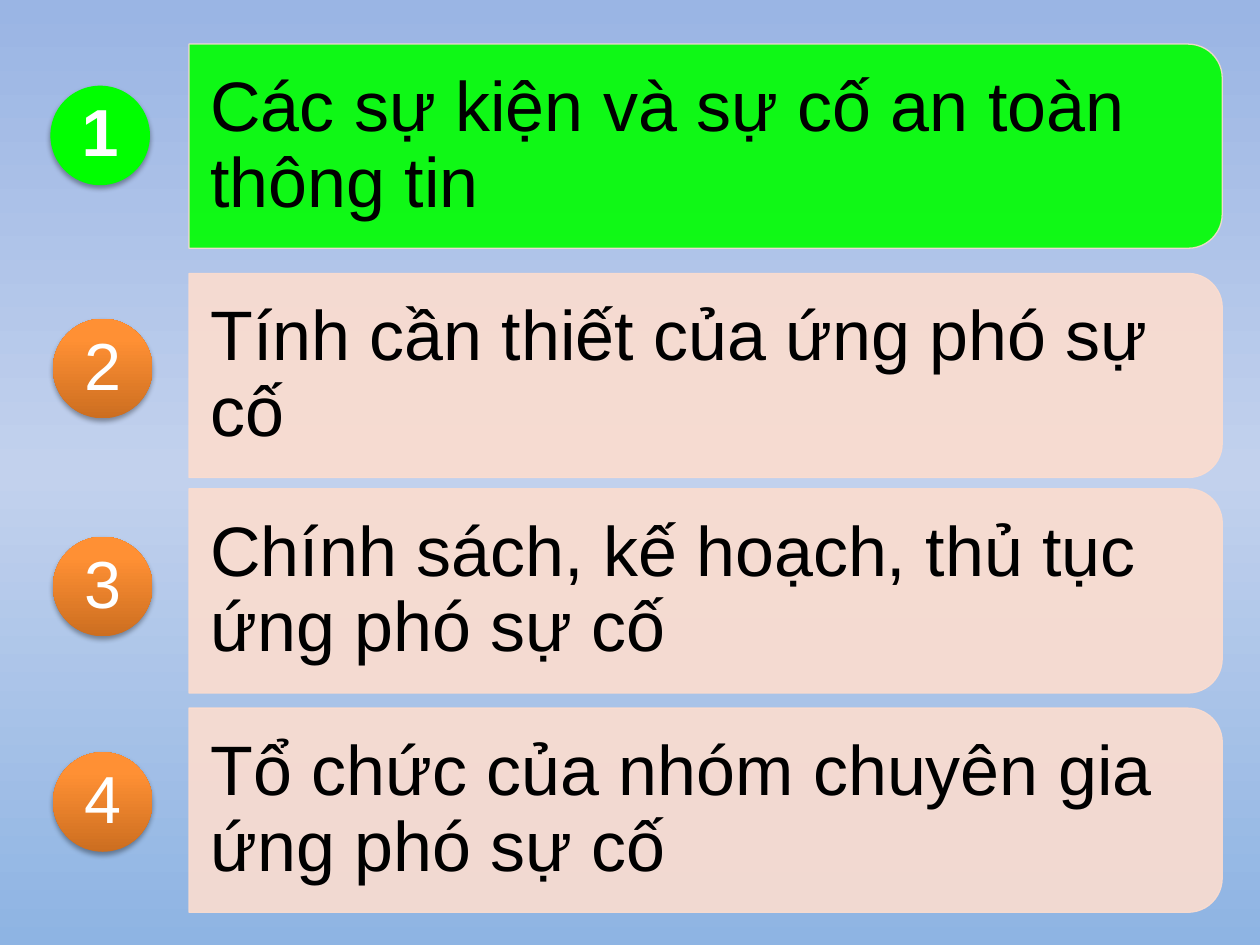
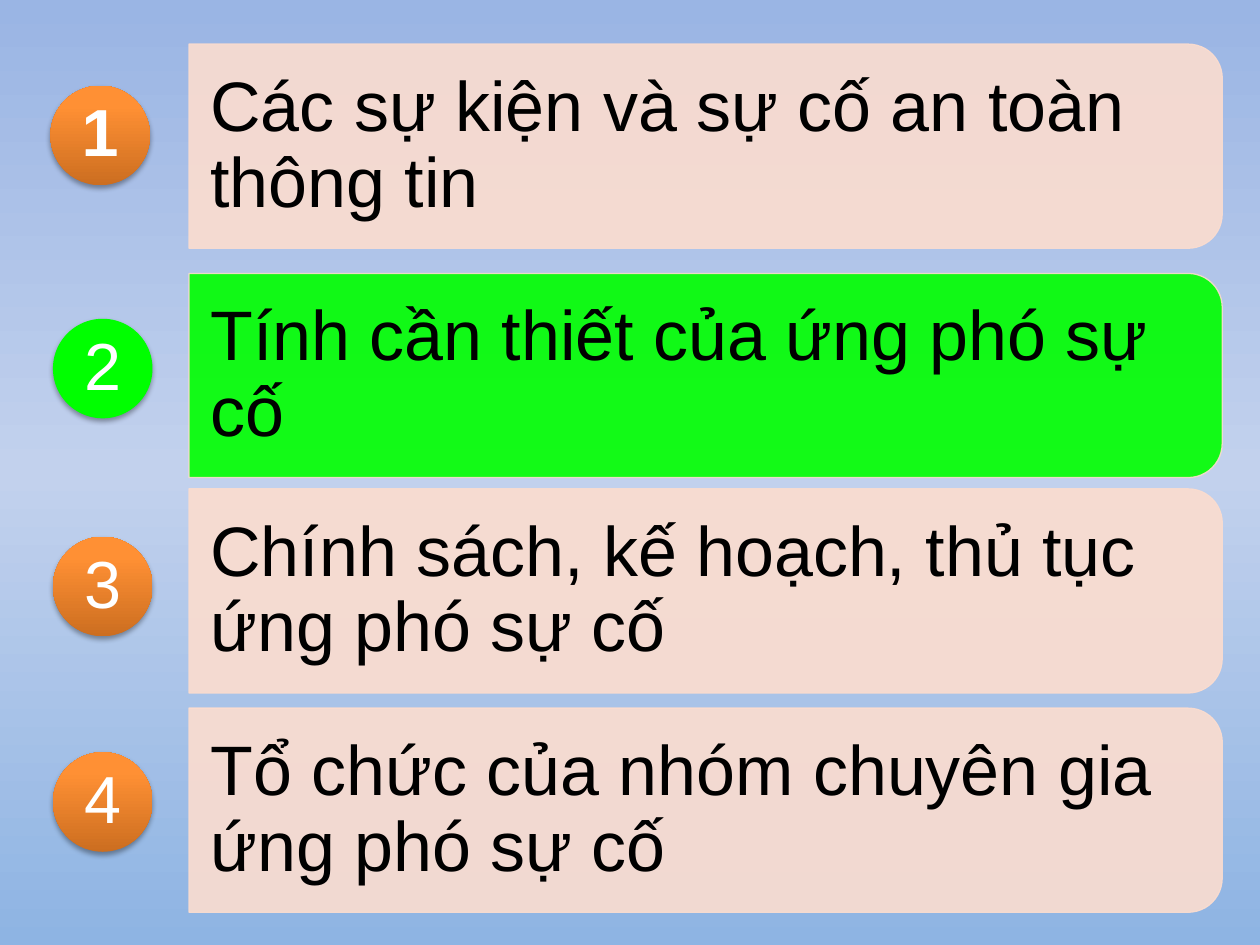
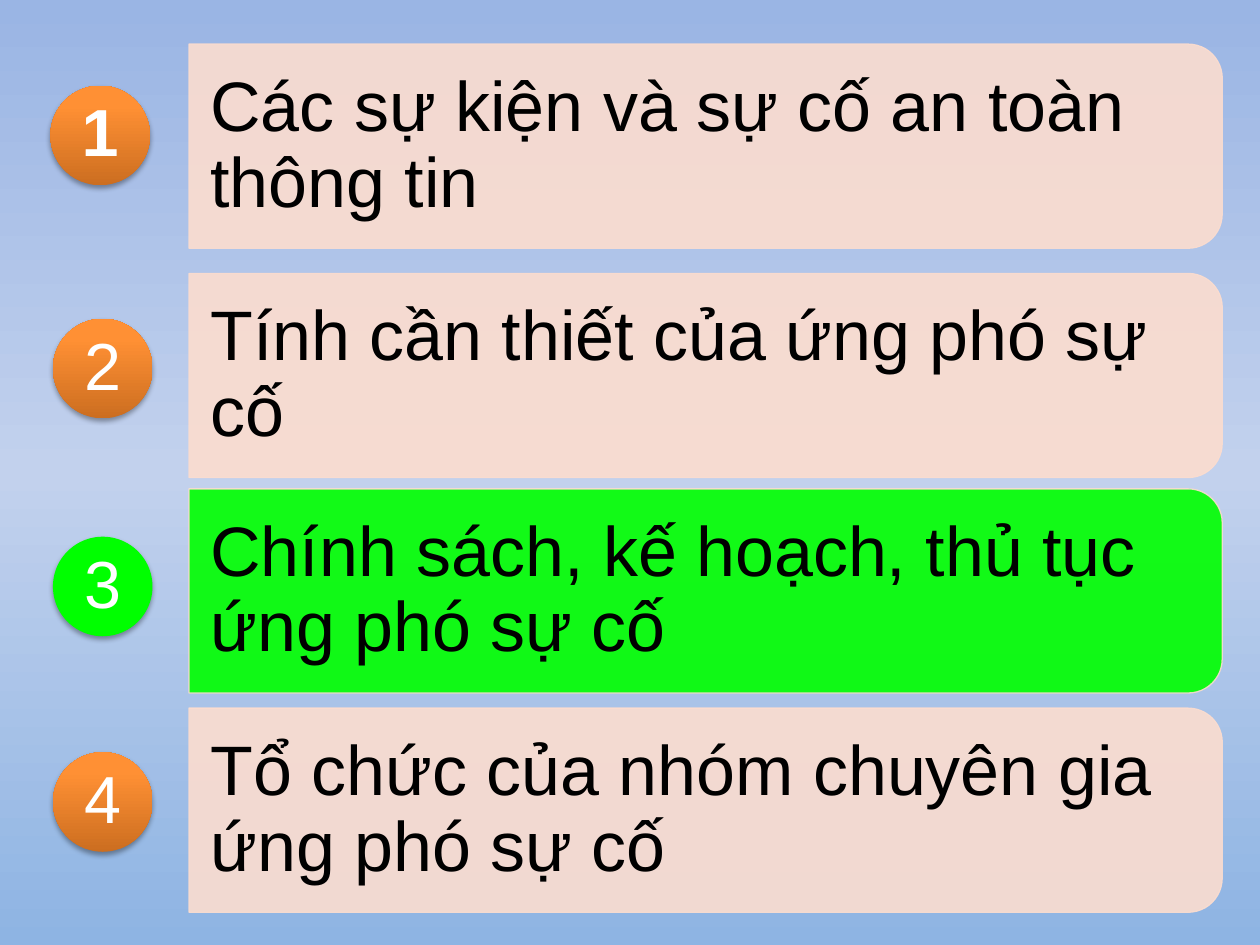
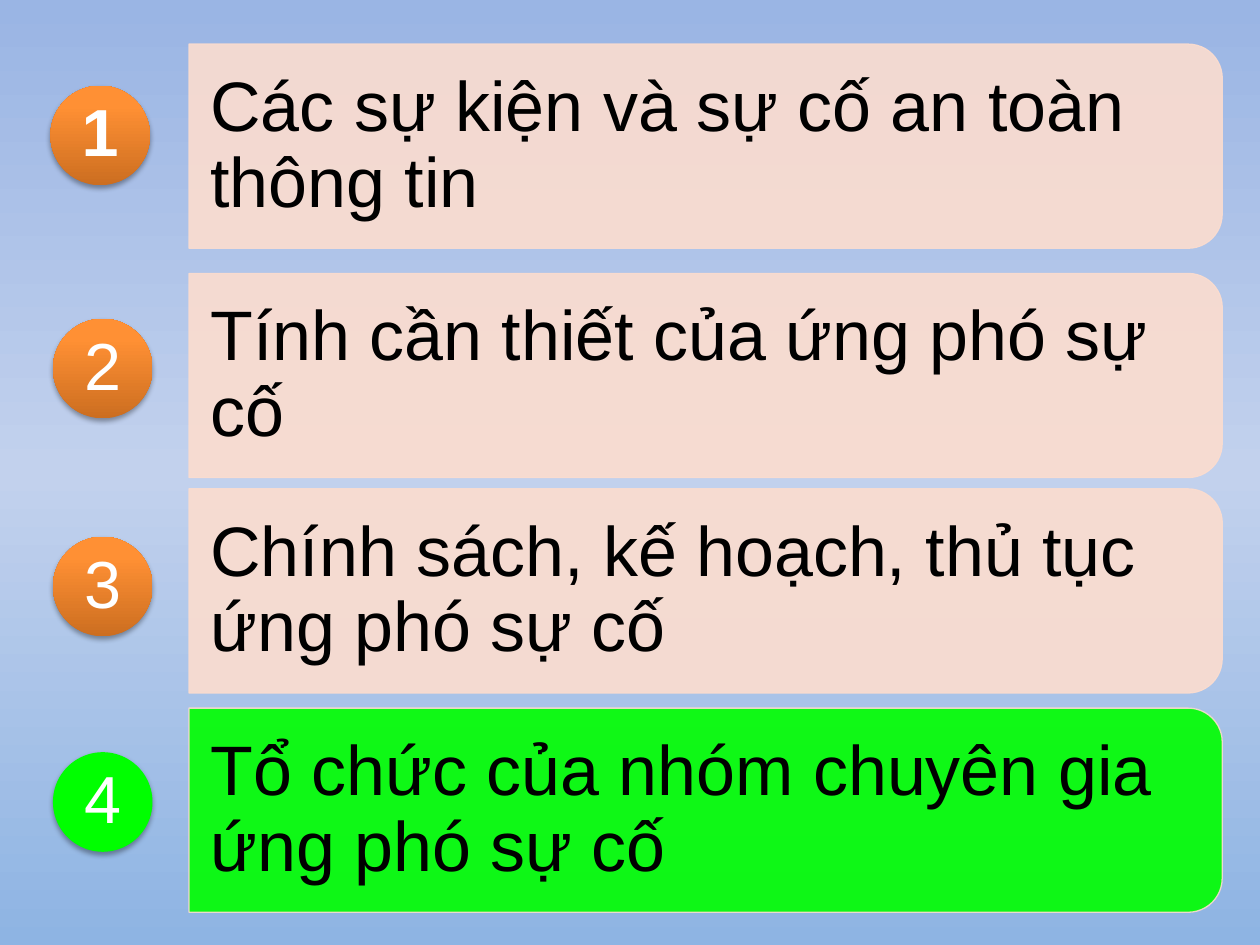
import pptx
import pptx.dml.color
import pptx.enum.shapes
import pptx.enum.text
import pptx.oxml
import pptx.oxml.ns
import pptx.util

SCALE = 9144
COLORS = {
    "active": "00FF00", "band": "FCDDCF", "text": "000000", "number": "FFFFFF",
    "sky_top": "9AB5E4", "sky_middle": "C2D1ED", "sky_bottom": "8EB4E3",
    "disc_dark": "CC6E20", "disc_mid": "FF9034", "disc_light": "FF9136",
}
SKY = [(0, "sky_top"), (50, "sky_middle"), (100, "sky_bottom")]
DISC = [(0, "disc_dark"), (80, "disc_mid"), (100, "disc_light")]
BAND_LEFT, BAND_WIDTH, BAND_HEIGHT, DISC_SIZE = 150, 820, 162, 79
TOPICS = [
    ("Các sự kiện và sự cố an toàn thông tin", 35, 40, 68),
    ("Tính cần thiết của ứng phó sự cố", 217, 42, 253),
    ("Chính sách, kế hoạch, thủ tục ứng phó sự cố", 388, 42, 426),
    ("Tổ chức của nhóm chuyên gia ứng phó sự cố", 562, 42, 597),
]


def px(*values):
    return [pptx.util.Emu(round(v * SCALE)) for v in values]


def rgb(name):
    return pptx.dml.color.RGBColor.from_string(COLORS[name])


def add_xml(parent, tag, body="", attrs=""):
    ns = pptx.oxml.ns.nsdecls("a")
    parent.append(pptx.oxml.parse_xml(f"<a:{tag} {ns} {attrs}>{body}</a:{tag}>"))


def set_gradient(fill, element, stops, angle):
    fill.gradient()
    fill.gradient_angle = angle
    gs_list = next(element.iter(pptx.oxml.ns.qn("a:gsLst")))
    for gs in list(gs_list):
        gs_list.remove(gs)
    for pos, name in stops:
        add_xml(gs_list, "gs", f'<a:srgbClr val="{COLORS[name]}"/>', f'pos="{pos * 1000}"')


def write(tf, text, size=40, color="text", bold=False, align="LEFT", margins=(17, 11)):
    tf.word_wrap = True
    tf.vertical_anchor = pptx.enum.text.MSO_ANCHOR.MIDDLE
    tf.margin_left, tf.margin_top = tf.margin_right, tf.margin_bottom = px(*margins)
    p = tf.paragraphs[0]
    p.alignment = getattr(pptx.enum.text.PP_ALIGN, align)
    p.line_spacing = 0.9
    add_xml(p._p.get_or_add_pPr(), "spcAft", '<a:spcPct val="35000"/>')
    r = p.add_run()
    r.text = text
    r.font.name = "Arial"
    r.font.size = pptx.util.Pt(size)
    r.font.bold = bold
    r.font.color.rgb = rgb(color)


class Deck:
    """Holds the shared agenda style and the current slide."""

    def __init__(self):
        self.prs = pptx.Presentation()
        self.prs.slide_width, self.prs.slide_height = px(1000, 750)
        master = self.prs.slide_master
        set_gradient(master.background.fill, master.element, SKY, 270)

    def new_slide(self):
        self.s = self.prs.slides.add_slide(self.prs.slide_layouts[6])

    def shape(self, kind, left, top, width, height):
        sp = self.s.shapes.add_shape(kind, *px(left, top, width, height))
        sp.shadow.inherit = False
        return sp

    def text(self, text, left, top, width, height, **style):
        sp = self.s.shapes.add_textbox(*px(left, top, width, height))
        write(sp.text_frame, text, **style)

    def band(self, text, top, active):
        shift = (BAND_WIDTH - BAND_HEIGHT) / 2
        sp = self.shape(pptx.enum.shapes.MSO_SHAPE.ROUND_2_SAME_RECTANGLE,
                        BAND_LEFT + shift, top - shift, BAND_HEIGHT, BAND_WIDTH)
        sp.rotation = 90
        sp.fill.solid()
        sp.fill.fore_color.rgb = rgb("active" if active else "band")
        sp.line.color.rgb = rgb("band")
        sp.line.width = pptx.util.Pt(0.75)
        for color in sp.element.spPr.iter(pptx.oxml.ns.qn("a:srgbClr")):
            add_xml(color, "alpha", attrs='val="90000"')
        self.text(text, BAND_LEFT, top + 8, BAND_WIDTH - 8, BAND_HEIGHT - 15)

    def disc(self, number, left, top, active):
        sp = self.shape(pptx.enum.shapes.MSO_SHAPE.OVAL, left, top, DISC_SIZE, DISC_SIZE)
        if active:
            sp.fill.solid()
            sp.fill.fore_color.rgb = rgb("active")
        else:
            set_gradient(sp.fill, sp.element, DISC, 90)
        sp.line.fill.background()
        effects = sp.element.spPr.find(pptx.oxml.ns.qn("a:effectLst"))
        add_xml(effects, "outerShdw",
                '<a:srgbClr val="000000"><a:alpha val="35000"/></a:srgbClr>',
                f'blurRad="{pptx.util.Pt(3.1)}" dist="{pptx.util.Pt(1.8)}" '
                'dir="5400000" rotWithShape="0"')
        self.text(str(number), left + 11.5, top + 11.5, 56, 56, size=38, color="number",
                  bold=number == 1, align="CENTER", margins=(0, 0))

    def agenda(self, current):
        self.new_slide()
        for number, (topic, band_top, disc_left, disc_top) in enumerate(TOPICS, 1):
            self.band(topic, band_top, number == current)
            self.disc(number, disc_left, disc_top, number == current)


def main():
    deck = Deck()
    for current in range(1, len(TOPICS) + 1):
        deck.agenda(current)
    deck.prs.save("out.pptx")


if __name__ == "__main__":
    main()
